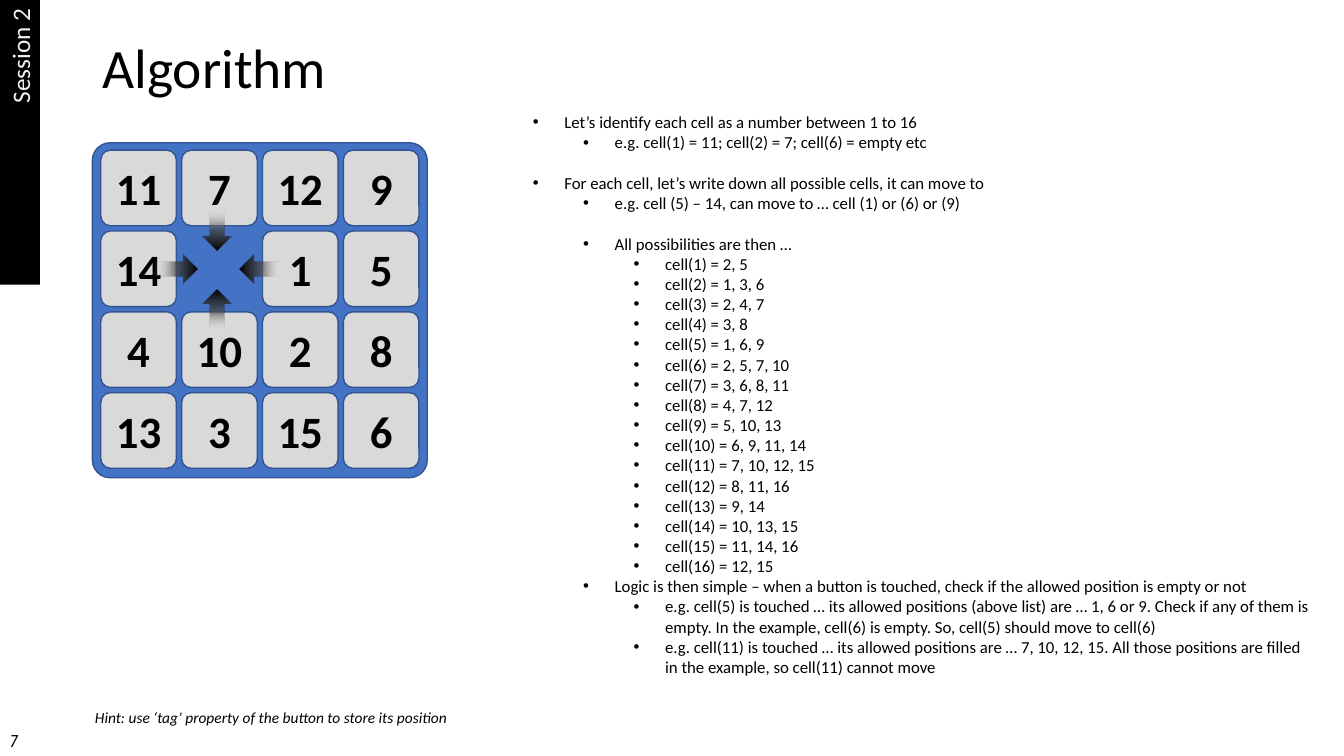
from lxml import etree
from pptx import Presentation
from pptx.dml.color import RGBColor
from pptx.enum.shapes import MSO_SHAPE as Preset
from pptx.enum.text import MSO_ANCHOR as Anchor, MSO_AUTO_SIZE as AutoSize, PP_ALIGN as Align
from pptx.oxml.ns import qn
from pptx.util import Pt

PX = 9525
COLORS = {
    "black": "000000", "board": "4472C4", "outline": "325491",
    "tile": "D9D9D9", "shade": "4A4A4A", "white": "FFFFFF", "label": "F2F2F2",
}
SIDE = 4
TILES = [11, 7, 12, 9, 14, None, 1, 5, 4, 10, 2, 8, 13, 3, 15, 6]
TILE_SIZE, TILE_STEP = 72, 77
TILES_LEFT, TILES_TOP = 96, 143
# left, top, rotation of each arrow towards the empty cell
ARROWS = [(147, 242, 0), (186, 204, 90), (228, 242, 180), (186, 282, 270)]
# colour, position in percent, opacity in percent
FADE = [("black", 0, 100), ("shade", 50, 75), ("white", 100, 0)]
BULLET_INDENT, LEVEL_INDENT = 30, 48
GAP = 14.5


def px(*lengths):
    return [length * PX for length in lengths]


def rgb(name):
    return RGBColor.from_string(COLORS[name])


def add_run(paragraph, text, size, color="black", font="Calibri", bold=False, italic=False):
    run = paragraph.add_run()
    run.text = text
    run.font.name = font
    run.font.size = Pt(size)
    run.font.bold = bold
    run.font.italic = italic
    run.font.color.rgb = rgb(color)


def add_block(slide, preset, box, fill=None, line=None, rotation=0):
    shape = slide.shapes.add_shape(preset, *px(*box))
    shape.shadow.inherit = False
    shape.rotation = rotation
    if fill:
        shape.fill.solid()
        shape.fill.fore_color.rgb = rgb(fill)
    if line:
        shape.line.color.rgb = rgb(line)
        shape.line.width = Pt(1)
    else:
        shape.line.fill.background()
    return shape


def add_rounded(slide, box, fill, corner):
    shape = add_block(slide, Preset.ROUNDED_RECTANGLE, box, fill, "outline")
    shape.adjustments[0] = corner
    return shape


def add_tile(slide, index, number):
    row, column = divmod(index, SIDE)
    box = (TILES_LEFT + column * TILE_STEP, TILES_TOP + row * TILE_STEP, TILE_SIZE, TILE_SIZE)
    tile = add_rounded(slide, box, "tile", 0.126)
    tile.text_frame.vertical_anchor = Anchor.MIDDLE
    paragraph = tile.text_frame.paragraphs[0]
    paragraph.alignment = Align.CENTER
    add_run(paragraph, str(number), 32, bold=True)


def add_fading_arrow(slide, left, top, rotation):
    arrow = add_block(slide, Preset.RIGHT_ARROW, (left, top, 41, 28), rotation=rotation)
    arrow.fill.gradient()
    arrow.fill.gradient_angle = 180
    stops = next(arrow.element.iter(qn("a:gsLst")))
    for stop in list(stops):
        stops.remove(stop)
    for color, position, opacity in FADE:
        stop = etree.SubElement(stops, qn("a:gs"), pos=str(position * 1000))
        value = etree.SubElement(stop, qn("a:srgbClr"), val=COLORS[color])
        etree.SubElement(value, qn("a:alpha"), val=str(opacity * 1000))


def add_line_of_text(slide, box, text, size, font="Calibri"):
    frame = slide.shapes.add_textbox(*px(*box)).text_frame
    frame.word_wrap = False
    add_run(frame.paragraphs[0], text, size, font=font, italic=True)


def add_bullets(slide, box, items):
    """Each item is (level, text, space before in points)."""
    frame = slide.shapes.add_textbox(*px(*box)).text_frame
    frame.word_wrap = True
    for index, (level, text, gap) in enumerate(items):
        paragraph = frame.add_paragraph() if index else frame.paragraphs[0]
        paragraph.level = level
        paragraph.space_before = Pt(gap)
        properties = paragraph._p.get_or_add_pPr()
        properties.set("marL", str((BULLET_INDENT + level * LEVEL_INDENT) * PX))
        properties.set("indent", str(-BULLET_INDENT * PX))
        etree.SubElement(properties, qn("a:buFont"), typeface="Arial")
        etree.SubElement(properties, qn("a:buChar"), char="•")
        add_run(paragraph, text, 12)


def allowed_moves(cell):
    """Cells next to this one in the grid, counted from 1."""
    row, column = divmod(cell - 1, SIDE)
    neighbours = [(row - 1, column), (row, column - 1), (row, column + 1), (row + 1, column)]
    return [r * SIDE + c + 1 for r, c in neighbours if 0 <= r < SIDE and 0 <= c < SIDE]


def explanation():
    moves = [
        (2, f"cell({cell}) = {', '.join(map(str, allowed_moves(cell)))}", 0)
        for cell in range(1, SIDE * SIDE + 1)
    ]
    return [
        (0, "Let’s identify each cell as a number between 1 to 16", 0),
        (1, "e.g. cell(1) = 11; cell(2) = 7; cell(6) = empty etc", 0),
        (0, "For each cell, let’s write down all possible cells, it can move to", GAP),
        (1, "e.g. cell (5) – 14, can move to … cell (1) or (6) or (9)", 0),
        (1, "All possibilities are then …", GAP),
        *moves,
        (1, "Logic is then simple – when a button is touched, check if the allowed "
            "position is empty or not", 0),
        (2, "e.g. cell(5) is touched … its allowed positions (above list) are … 1, 6 or 9. "
            "Check if any of them is empty. In the example, cell(6) is empty. "
            "So, cell(5) should move to cell(6)", 0),
        (2, "e.g. cell(11) is touched … its allowed positions are … 7, 10, 12, 15. "
            "All those positions are filled in the example, so cell(11) cannot move", 0),
    ]


def set_title(slide, text):
    title = slide.shapes.title
    title.left, title.top, title.width, title.height = px(88, 38, 1104, 58)
    frame = title.text_frame
    frame.auto_size = AutoSize.NONE
    frame.vertical_anchor = Anchor.MIDDLE
    paragraph = frame.paragraphs[0]
    paragraph.alignment = Align.LEFT
    paragraph.line_spacing = 0.9
    add_run(paragraph, text, 39.6)


def add_session_label(slide, text):
    label = add_block(slide, Preset.RECTANGLE, (-117, 116, 272, 38), "black", rotation=270)
    frame = label.text_frame
    frame.word_wrap = False
    frame.vertical_anchor = Anchor.TOP
    paragraph = frame.paragraphs[0]
    paragraph.alignment = Align.RIGHT
    add_run(paragraph, text, 18, "label")


def main():
    presentation = Presentation()
    presentation.slide_width, presentation.slide_height = px(1280, 720)
    slide = presentation.slides.add_slide(presentation.slide_layouts.get_by_name("Title Only"))
    add_line_of_text(slide, (0, 691, 32, 29), "7", 12, "Roboto Condensed")
    set_title(slide, "Algorithm")
    add_rounded(slide, (88, 136, 319, 319), "board", 0.053)
    for index, number in enumerate(TILES):
        if number:
            add_tile(slide, index, number)
    for arrow in ARROWS:
        add_fading_arrow(slide, *arrow)
    add_bullets(slide, (498, 102, 765, 563), explanation())
    add_line_of_text(slide, (81, 670, 357, 28),
                     "Hint: use ‘tag’ property of the button to store its position", 11)
    add_session_label(slide, "Session 2")
    presentation.save("out.pptx")


if __name__ == "__main__":
    main()
